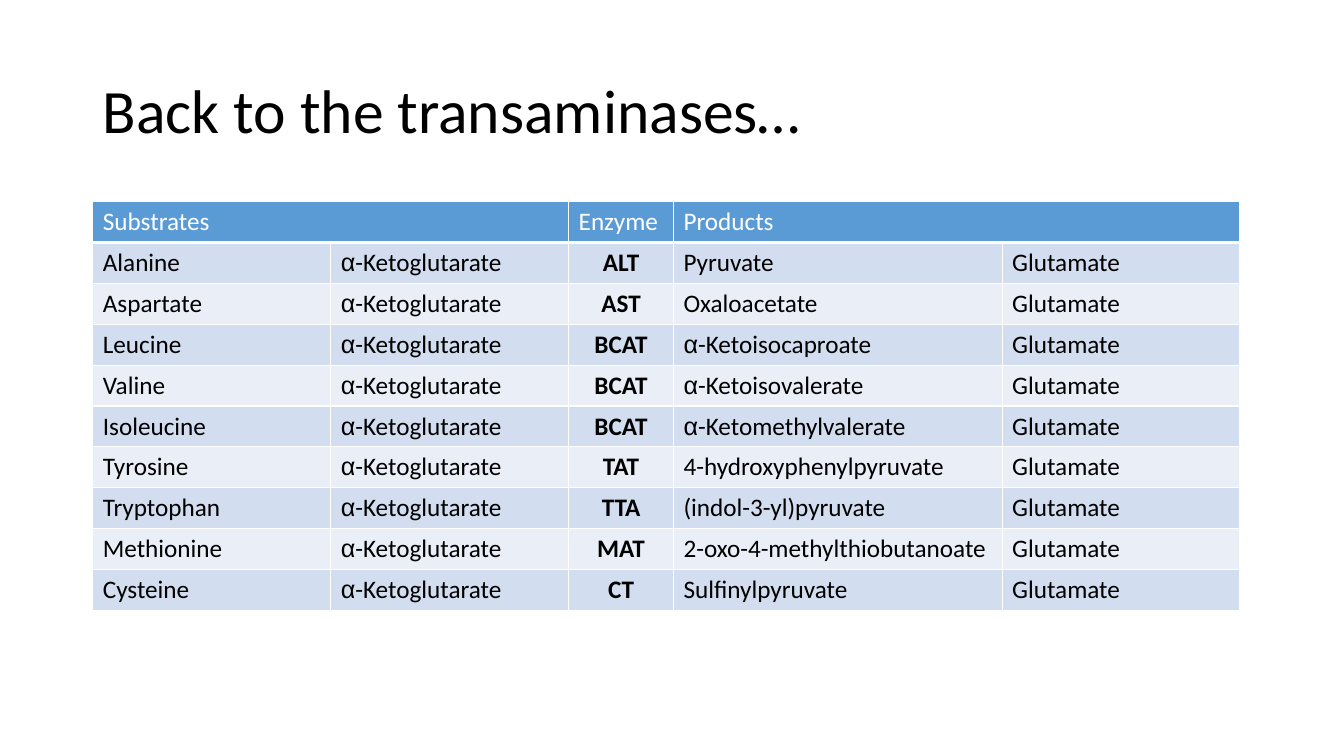
import lxml.etree
import pptx
import pptx.dml.color
import pptx.enum.text
import pptx.oxml.ns
import pptx.util

Inches, Pt = pptx.util.Inches, pptx.util.Pt
PP_ALIGN = pptx.enum.text.PP_ALIGN
COLORS = {"header": "5B9BD5", "odd": "D2DEEF", "even": "EAEFF7",
          "border": "FFFFFF", "light": "FFFFFF", "dark": "000000"}

COLUMN_WIDTHS = [2.36, 2.36, 1.04, 3.26, 2.36]
ROW_HEIGHT = 0.38
HEADER = ["Substrates", "", "Enzyme", "Products", ""]
COSUBSTRATE, COPRODUCT = "α-Ketoglutarate", "Glutamate"
REACTIONS = [
    ("Alanine", "ALT", "Pyruvate"),
    ("Aspartate", "AST", "Oxaloacetate"),
    ("Leucine", "BCAT", "α-Ketoisocaproate"),
    ("Valine", "BCAT", "α-Ketoisovalerate"),
    ("Isoleucine", "BCAT", "α-Ketomethylvalerate"),
    ("Tyrosine", "TAT", "4-hydroxyphenylpyruvate"),
    ("Tryptophan", "TTA", "(indol-3-yl)pyruvate"),
    ("Methionine", "MAT", "2-oxo-4-methylthiobutanoate"),
    ("Cysteine", "CT", "Sulfinylpyruvate"),
]


def rgb(name):
    return pptx.dml.color.RGBColor.from_string(COLORS[name])


def add_run(paragraph, text, color, **formats):
    run = paragraph.add_run()
    run.text = text
    for attribute, value in {"name": "Calibri", "size": Pt(18), "bold": False, **formats}.items():
        setattr(run.font, attribute, value)
    run.font.color.rgb = rgb(color)


def set_borders(cell, bottom_width):
    properties = cell._tc.get_or_add_tcPr()
    qn = pptx.oxml.ns.qn
    for side, width in {"L": 1, "R": 1, "T": 1, "B": bottom_width}.items():
        line = lxml.etree.SubElement(properties, qn(f"a:ln{side}"), w=str(Pt(width)))
        fill = lxml.etree.SubElement(line, qn("a:solidFill"))
        lxml.etree.SubElement(fill, qn("a:srgbClr"), val=COLORS["border"])


def fill_cell(cell, text, fill, color, bottom_width=1, enzyme=False):
    set_borders(cell, bottom_width)
    cell.fill.solid()
    cell.fill.fore_color.rgb = rgb(fill)
    paragraph = cell.text_frame.paragraphs[0]
    if enzyme:
        paragraph.alignment = PP_ALIGN.CENTER
    # The Greek letter has its own font
    if text.startswith("α"):
        add_run(paragraph, "α", color, name="Arial")
        text = text[1:]
    if text:
        add_run(paragraph, text, color, bold=enzyme)


def add_title(slide, left, top, width, height):
    title = slide.shapes.title
    box = {"left": left, "top": top, "width": width, "height": height}
    for attribute, value in box.items():
        setattr(title, attribute, Inches(value))
    frame = title.text_frame
    frame.word_wrap = True
    frame.auto_size = pptx.enum.text.MSO_AUTO_SIZE.NONE
    frame.vertical_anchor = pptx.enum.text.MSO_ANCHOR.MIDDLE
    heading = frame.paragraphs[0]
    heading.alignment = PP_ALIGN.LEFT
    heading.line_spacing = 0.9
    add_run(heading, "Back to the transaminases…", "dark", size=Pt(44))


def add_reactions(slide, left, top, width, height):
    graphic = slide.shapes.add_table(
        len(REACTIONS) + 1, len(COLUMN_WIDTHS),
        Inches(left), Inches(top), Inches(width), Inches(height))
    reactions = graphic.table
    for column, column_width in zip(reactions.columns, COLUMN_WIDTHS):
        column.width = Inches(column_width)
    for row in reactions.rows:
        row.height = Inches(ROW_HEIGHT)
    graphic.height = Inches(height)

    # Header row, with a merged pair on each side of the enzyme
    for index, label in enumerate(HEADER):
        fill_cell(reactions.cell(0, index), label, "header", "light", bottom_width=3)
    for first in (0, 3):
        reactions.cell(0, first).merge(reactions.cell(0, first + 1))

    # One banded row for each reaction
    for row, (substrate, enzyme, product) in enumerate(REACTIONS, start=1):
        texts = [substrate, COSUBSTRATE, enzyme, product, COPRODUCT]
        band = "odd" if row % 2 else "even"
        for index, text in enumerate(texts):
            fill_cell(reactions.cell(row, index), text, band, "dark", enzyme=index == 2)


def main():
    deck = pptx.Presentation()
    deck.slide_width, deck.slide_height = Inches(13.33), Inches(7.5)
    slide = deck.slides.add_slide(deck.slide_layouts[5])
    add_title(slide, 0.92, 0.4, 11.5, 1.45)
    add_reactions(slide, 0.92, 2, sum(COLUMN_WIDTHS), 4)
    deck.save("out.pptx")


if __name__ == "__main__":
    main()
